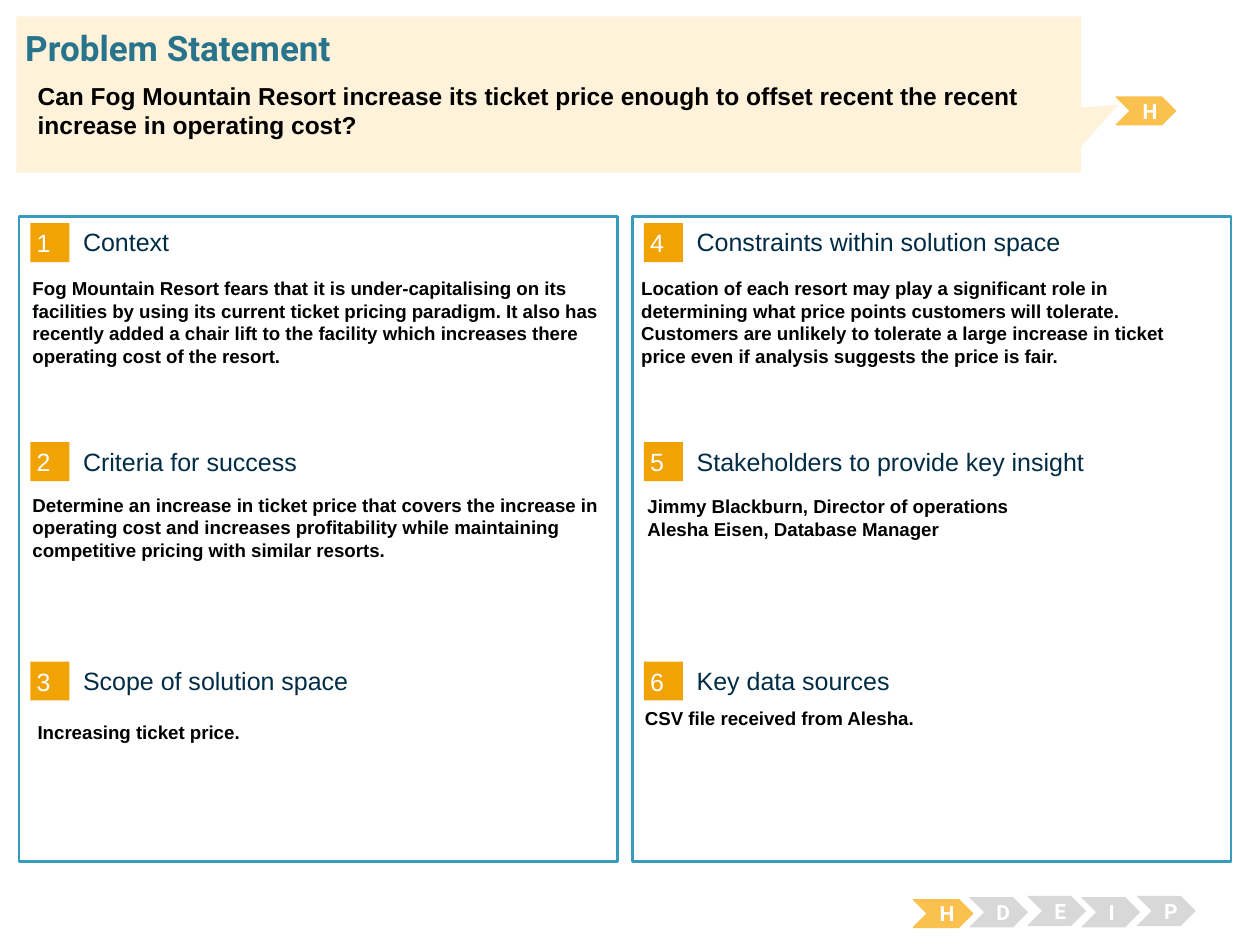
import pptx
import pptx.dml.color
import pptx.enum.shapes
import pptx.enum.text
import pptx.util

Inches = pptx.util.Inches
RGBColor = pptx.dml.color.RGBColor
Shape = pptx.enum.shapes.MSO_SHAPE
Align = pptx.enum.text.PP_ALIGN
Anchor = pptx.enum.text.MSO_ANCHOR

WHITE = RGBColor(0xFF, 0xFF, 0xFF)
BLACK = RGBColor(0x00, 0x00, 0x00)
CREAM = RGBColor(0xFE, 0xF2, 0xDA)
ORANGE = RGBColor(0xF1, 0xA2, 0x05)
AMBER = RGBColor(0xFB, 0xC1, 0x4E)
GREY = RGBColor(0xD8, 0xD8, 0xD8)
BLUE = RGBColor(0x37, 0x9B, 0xBD)
TEAL = RGBColor(0x29, 0x74, 0x8D)
NAVY = RGBColor(0x00, 0x2C, 0x46)

PANEL_LEFTS = (0.15, 5.02)
ROW_TOPS = (1.77, 3.51, 5.25)
QUESTION = (
    "Can Fog Mountain Resort increase its ticket price enough to offset recent the recent\n"
    "increase in operating cost?"
)
SECTIONS = (
    (
        ("Context", (0.16, 2.15, 4.73, 1.36),
         "Fog Mountain Resort fears that it is under-capitalising on its facilities by using "
         "its current ticket pricing paradigm. It also has recently added a chair lift to the "
         "facility which increases there operating cost of the resort."),
        ("Criteria for success", (0.16, 3.87, 4.73, 1.54),
         "Determine an increase in ticket price that covers the increase in operating cost and "
         "increases profitability while maintaining competitive pricing with similar resorts."),
        ("Scope of solution space", (0.2, 5.67, 4.73, 0.82), "Increasing ticket price."),
    ),
    (
        ("Constraints within solution space", (4.99, 2.15, 4.73, 1.18),
         "Location of each resort may play a significant role in determining what price points "
         "customers will tolerate. Customers are unlikely to tolerate a large increase in "
         "ticket price even if analysis suggests the price is fair."),
        ("Stakeholders to provide key insight", (5.04, 3.88, 4.73, 1.18),
         "Jimmy Blackburn, Director of operations\nAlesha Eisen, Database Manager"),
        ("Key data sources", (5.02, 5.56, 4.73, 1.18), "CSV file received from Alesha."),
    ),
)
STEPS = (
    ("H", 7.25, 7.14),
    ("D", 7.69, 7.12),
    ("E", 8.15, 7.11),
    ("I", 8.58, 7.12),
    ("P", 9.02, 7.11),
)


class SlideBuilder:
    body_font = "Arial"
    accent_font = "Roboto"
    heading_size = 14.3
    body_size = 10.7
    body_insets = (0.1, 0.05)

    def __init__(self, slide):
        self.slide = slide

    def set_text(self, shape, text, size, color, font=body_font, bold=False,
                 align=Align.LEFT, anchor=Anchor.TOP, insets=body_insets):
        frame = shape.text_frame
        frame.text = text
        frame.word_wrap = True
        frame.auto_size = pptx.enum.text.MSO_AUTO_SIZE.NONE
        frame.vertical_anchor = anchor
        frame.margin_left = frame.margin_right = Inches(insets[0])
        frame.margin_top = frame.margin_bottom = Inches(insets[1])
        for para in frame.paragraphs:
            para.alignment = align
            for span in para.runs:
                span.font.name = font
                span.font.size = pptx.util.Pt(size)
                span.font.bold = bold
                span.font.color.rgb = color

    def shape(self, kind, bounds, fill, line=None, line_width=0.75):
        shape = self.slide.shapes.add_shape(kind, *map(Inches, bounds))
        shape.shadow.inherit = False
        shape.fill.solid()
        shape.fill.fore_color.rgb = fill
        if line is None:
            shape.line.fill.background()
        else:
            shape.line.color.rgb = line
            shape.line.width = pptx.util.Pt(line_width)
        return shape

    def text(self, bounds, text, size, color, **style):
        box = self.slide.shapes.add_textbox(*map(Inches, bounds))
        self.set_text(box, text, size, color, **style)

    def title(self, bounds, text):
        title = self.slide.shapes.title
        title.left, title.top, title.width, title.height = map(Inches, bounds)
        self.set_text(title, text, 20, TEAL, font=self.accent_font, bold=True, insets=(0, 0))
        title.element.getparent().append(title.element)

    def callout(self, bounds):
        callout = self.shape(Shape.RECTANGULAR_CALLOUT, bounds, CREAM)
        callout.adjustments[0] = 0.535
        callout.adjustments[1] = 0.066

    def panel(self, left):
        self.shape(Shape.RECTANGLE, (left, 1.72, 4.75, 5.12), WHITE, BLUE, 1.5)

    def heading(self, left, top, number, text):
        badge = self.shape(Shape.RECTANGLE, (left, top, 0.31, 0.31), ORANGE)
        self.set_text(badge, str(number), self.heading_size, WHITE,
                      anchor=Anchor.MIDDLE, insets=(0.05, 0.05))
        self.text((left + 0.42, top + 0.03, 3.93, 0.24), text, self.heading_size, NAVY,
                  anchor=Anchor.MIDDLE, insets=(0, 0))

    def step(self, letter, left, top, active):
        if active:
            chevron = self.shape(Shape.CHEVRON, (left, top, 0.47, 0.22), AMBER, AMBER)
        else:
            chevron = self.shape(Shape.CHEVRON, (left, top, 0.47, 0.24), GREY)
        self.set_text(chevron, letter, 12, WHITE, font=self.accent_font, bold=True,
                      align=Align.CENTER, anchor=Anchor.MIDDLE)


def main():
    deck = pptx.Presentation()
    deck.slide_width = Inches(10)
    deck.slide_height = Inches(7.5)
    page = SlideBuilder(deck.slides.add_slide(deck.slide_layouts[5]))

    number = 1
    for left, sections in zip(PANEL_LEFTS, SECTIONS):
        page.panel(left)
        for top, (heading, bounds, body) in zip(ROW_TOPS, sections):
            page.heading(left + 0.09, top, number, heading)
            page.text(bounds, body, page.body_size, BLACK, bold=True)
            number += 1

    for letter, left, top in STEPS:
        page.step(letter, left, top, active=letter == "H")

    page.step("H", 8.86, 0.77, active=True)
    page.callout((0.13, 0.13, 8.45, 1.24))
    page.title((0.2, 0.21, 9.62, 0.34), "Problem Statement")
    page.text((0.2, 0.59, 9.39, 0.54), QUESTION, 14, BLACK, bold=True)

    deck.save("out.pptx")


if __name__ == "__main__":
    main()
